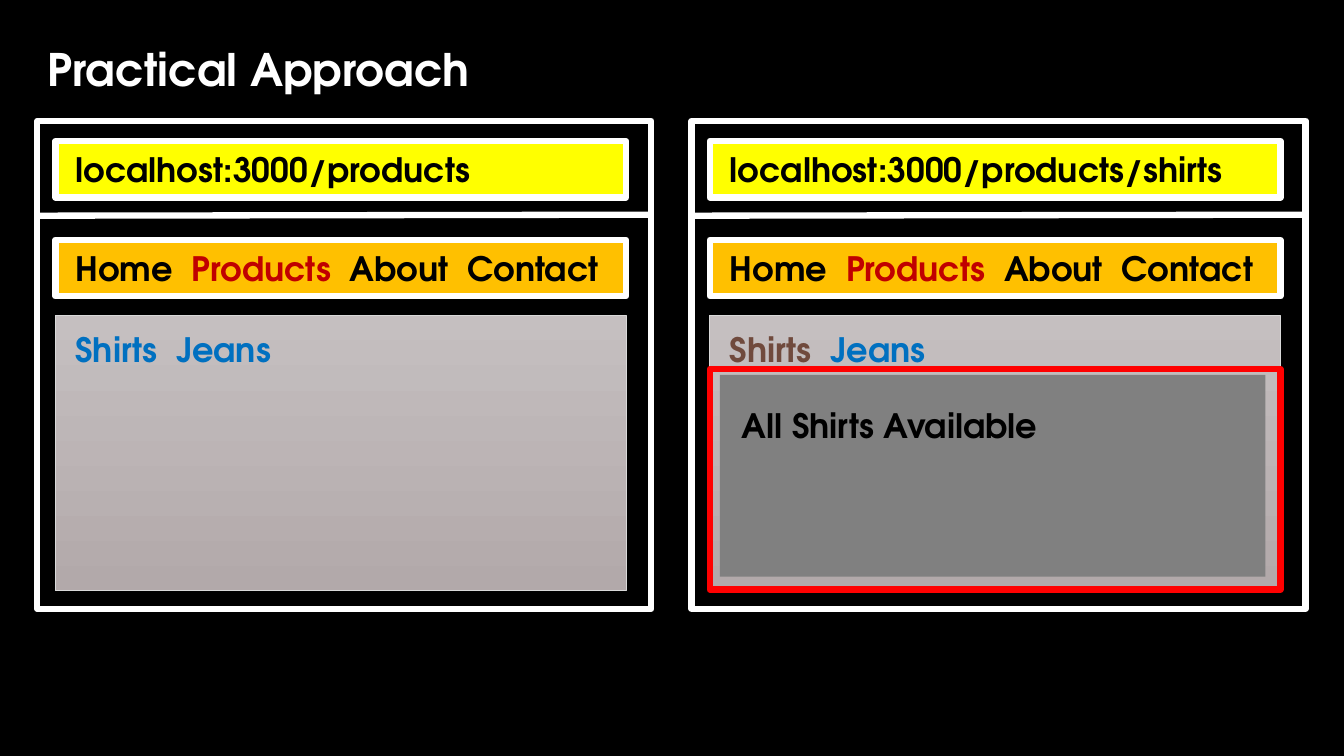
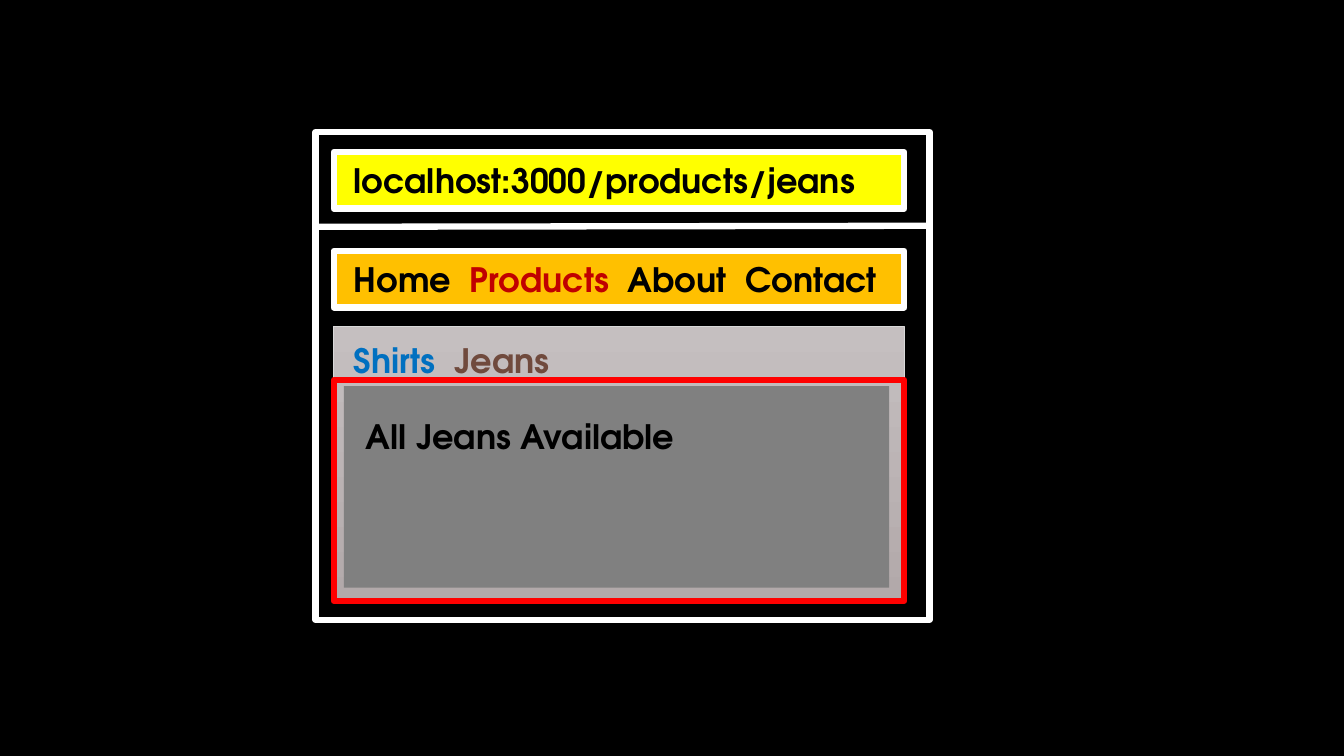
from pptx import Presentation
from pptx.dml.color import RGBColor
from pptx.enum.shapes import MSO_CONNECTOR, MSO_SHAPE
from pptx.enum.text import MSO_ANCHOR, MSO_AUTO_SIZE, PP_ALIGN
from pptx.oxml.ns import qn
from pptx.util import Inches, Pt
from lxml.etree import SubElement

FONT = "TeX Gyre Adventor"
BLACK, WHITE, RED = "000000", "FFFFFF", "FF0000"
ADDRESS_YELLOW, MENU_ORANGE = "FFFF00", "FFC000"
CURRENT_PAGE, LINK, OPENED_LINK = "C00000", "0070C0", "704A3D"
NESTED_GREY, PANEL_EDGE = "808080", "D9D9D9"
PANEL_GRADIENT = ("C5BFC0", "B2A9AA")
TITLE_ONLY, BLANK = 5, 6
FRAME_WIDTH, FRAME_HEIGHT = 6.09, 4.84
BAR_INSET, BAR_WIDTH, BAR_HEIGHT = 0.18, 5.66, 0.56
TEXT_INSET = 0.28
CATEGORIES = ("Shirts", "Jeans")


def rgb(hex_code):
    """Turn a hex string into a colour."""
    return RGBColor.from_string(hex_code)


def add_box(slide, left, top, width, height, fill=None, line=None, weight=4.5):
    """Add a rectangle with no fill, a plain fill or a vertical gradient."""
    box = slide.shapes.add_shape(
        MSO_SHAPE.RECTANGLE, Inches(left), Inches(top), Inches(width), Inches(height)
    )
    box.shadow.inherit = False
    if fill is None:
        box.fill.background()
    elif isinstance(fill, str):
        box.fill.solid()
        box.fill.fore_color.rgb = rgb(fill)
    else:
        box.fill.gradient()
        box.fill.gradient_angle = 270
        for stop, color, position in zip(box.fill.gradient_stops, fill, (0, 1)):
            stop.color.rgb = rgb(color)
            stop.position = position
    if line is None:
        box.line.fill.background()
    else:
        box.line.color.rgb = rgb(line)
        box.line.width = Pt(weight)


def add_divider(slide, left, top):
    """Draw the slightly tilted line below the address bar."""
    divider = slide.shapes.add_connector(
        MSO_CONNECTOR.STRAIGHT,
        Inches(left), Inches(top), Inches(left + FRAME_WIDTH), Inches(top - 0.01),
    )
    divider.line.color.rgb = rgb(WHITE)
    divider.line.width = Pt(4.5)
    SubElement(divider._element.spPr, qn("a:effectLst"))


def write_runs(frame, pieces, size):
    """Write (text, colour) pieces as one bold left-aligned paragraph."""
    frame.word_wrap = True
    paragraph = frame.paragraphs[0]
    paragraph.alignment = PP_ALIGN.LEFT
    for text, color in pieces:
        run = paragraph.add_run()
        run.text = text
        run.font.name = FONT
        run.font.size = Pt(size)
        run.font.bold = True
        run.font.color.rgb = rgb(color)


def add_label(slide, left, top, width, *pieces):
    """Add a one-line text box made of coloured pieces."""
    label = slide.shapes.add_textbox(
        Inches(left), Inches(top), Inches(width), Inches(0.5)
    )
    write_runs(label.text_frame, pieces, 24)
    label.text_frame.auto_size = MSO_AUTO_SIZE.SHAPE_TO_FIT_TEXT


def add_title(slide, text):
    """Place and style the slide title."""
    title = slide.shapes.title
    title.left, title.top = Inches(0.37), Inches(0.36)
    title.width, title.height = Inches(5.41), Inches(0.64)
    title.text_frame.vertical_anchor = MSO_ANCHOR.TOP
    write_runs(title.text_frame, [(text, WHITE)], 32)


def add_nested_page(slide, left, top, category):
    """Add the red-framed page that the opened category shows."""
    add_box(slide, left + TEXT_INSET, top + 2.52, 5.41, 2, NESTED_GREY)
    add_label(slide, left + 0.4, top + 2.77, 3.84, (f"All {category} Available", BLACK))
    add_box(slide, left + BAR_INSET, top + 2.46, BAR_WIDTH, 2.19, line=RED)


def add_browser(slide, left, top, opened=None):
    """Draw a browser window, with the page of the opened category if any."""
    bar_left, text_left = left + BAR_INSET, left + TEXT_INSET
    address = "localhost:3000/products" + (f"/{opened.lower()}" if opened else "")
    shirts, jeans = (OPENED_LINK if name == opened else LINK for name in CATEGORIES)

    add_box(slide, left, top, FRAME_WIDTH, FRAME_HEIGHT, line=WHITE)
    add_box(slide, bar_left, top + 0.2, BAR_WIDTH, BAR_HEIGHT, ADDRESS_YELLOW, WHITE)
    add_label(slide, text_left, top + 0.23, 5.41, (address, BLACK))
    add_divider(slide, left, top + 0.94)
    add_box(slide, bar_left, top + 1.18, BAR_WIDTH, BAR_HEIGHT, MENU_ORANGE, WHITE)
    add_label(
        slide, text_left, top + 1.21, 5.56,
        ("Home  ", BLACK), ("Products", CURRENT_PAGE), ("  About  Contact", BLACK),
    )
    add_box(slide, bar_left, top + 1.93, BAR_WIDTH, 2.73, PANEL_GRADIENT, PANEL_EDGE, 0.5)
    add_label(slide, text_left, top + 2.01, 2.79, ("Shirts  ", shirts), ("Jeans", jeans))
    if opened:
        add_nested_page(slide, left, top, opened)


def main():
    """Build and save the two slides."""
    deck = Presentation()
    deck.slide_width, deck.slide_height = Inches(13.33), Inches(7.5)
    backdrop = deck.slide_master.background.fill
    backdrop.solid()
    backdrop.fore_color.rgb = rgb(BLACK)

    overview = deck.slides.add_slide(deck.slide_layouts[TITLE_ONLY])
    add_title(overview, "Practical Approach")
    add_browser(overview, 0.37, 1.2)
    add_browser(overview, 6.86, 1.2, "Shirts")

    jeans_page = deck.slides.add_slide(deck.slide_layouts[BLANK])
    add_browser(jeans_page, 3.13, 1.31, "Jeans")

    deck.save("out.pptx")


if __name__ == "__main__":
    main()
